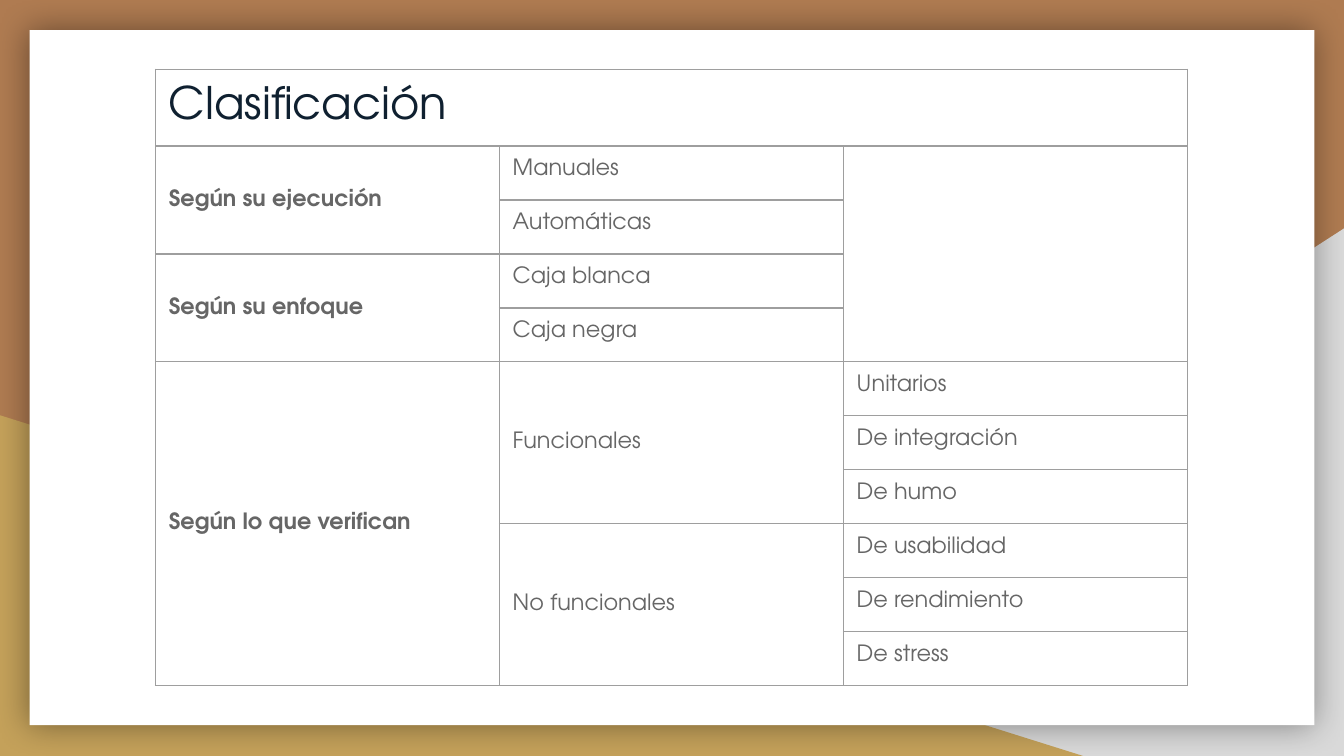
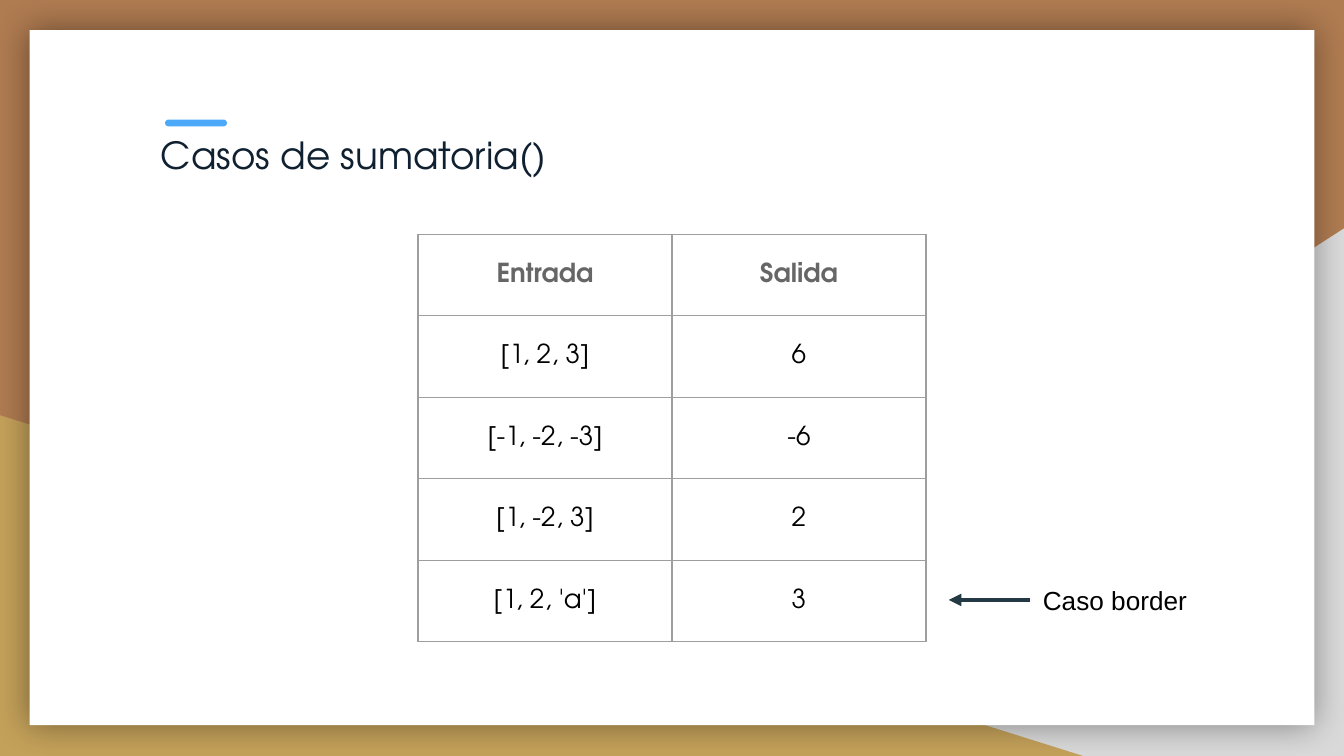
from lxml import etree
from pptx import Presentation
from pptx.dml.color import RGBColor
from pptx.enum.shapes import MSO_CONNECTOR, MSO_SHAPE
from pptx.enum.text import MSO_ANCHOR, MSO_AUTO_SIZE, PP_ALIGN
from pptx.oxml.ns import qn
from pptx.util import Cm, Pt

RECT, ROUNDED = MSO_SHAPE.RECTANGLE, MSO_SHAPE.ROUNDED_RECTANGLE
TRIANGLE = MSO_SHAPE.RIGHT_TRIANGLE
STRAIGHT = MSO_CONNECTOR.STRAIGHT
TOP, MIDDLE = MSO_ANCHOR.TOP, MSO_ANCHOR.MIDDLE
LEFT, CENTER = PP_ALIGN.LEFT, PP_ALIGN.CENTER
NO_AUTOFIT = MSO_AUTO_SIZE.NONE

TITLE_ONLY, BLANK = 5, 6
FONT, LABEL_FONT = "TeX Gyre Adventor", "Arial"
COPPER, GOLD, SILVER, WHITE = "AF7B51", "C4A15A", "D9D9D9", "FFFFFF"
NAVY, GREY, BLACK = "0F2030", "666666", "000000"
BORDER, ACCENT, ARROW = "9E9E9E", "4CA8F8", "233A44"
INSET = 0.25


def rgb(color):
    return RGBColor.from_string(color)


def sub(parent, tag, **attrs):
    """Append a child element such as a:ln to parent."""
    return etree.SubElement(parent, qn(tag), attrs)


class Deck:
    def __init__(self, width, height):
        self.prs = Presentation()
        self.prs.slide_width, self.prs.slide_height = Cm(width), Cm(height)
        self.slide = None

    def add_slide(self, layout):
        self.slide = self.prs.slides.add_slide(self.prs.slide_layouts[layout])

    def backdrop(self):
        """Put the background and the white panel on the master."""
        master = self.prs.slide_master
        fill = master.background.fill
        fill.solid()
        fill.fore_color.rgb = rgb(COPPER)

        silver = self.shape(TRIANGLE, 9.96, 4.32, 15.44, 9.97, SILVER)
        silver.element.spPr.find(qn("a:xfrm")).set("flipH", "1")
        gold = self.shape(TRIANGLE, 0, 7.85, 20.47, 6.44, GOLD)
        panel = self.shape(RECT, 0.56, 0.57, 24.28, 13.14, WHITE)
        effects = panel.element.spPr.find(qn("a:effectLst"))
        shadow = sub(effects, "a:outerShdw", blurRad=str(Pt(18)), dist="0",
                     algn="ctr", rotWithShape="0")
        sub(sub(shadow, "a:srgbClr", val=BLACK), "a:alpha", val="40000")

        tree = master.element.cSld.spTree
        for i, sp in enumerate((silver, gold, panel)):
            tree.insert(2 + i, sp.element)

    def shape(self, kind, x, y, w, h, color):
        sp = self.slide.shapes.add_shape(kind, Cm(x), Cm(y), Cm(w), Cm(h))
        sp.shadow.inherit = False
        sp.fill.solid()
        sp.fill.fore_color.rgb = rgb(color)
        sp.line.fill.background()
        return sp

    def style_text(self, tf, size, color, font=FONT, bold=False, align=LEFT):
        for p in tf.paragraphs:
            p.alignment = align
            for r in p.runs:
                f = r.font
                f.name, f.size, f.bold = font, Pt(size), bold
                f.color.rgb = rgb(color)

    def text_frame(self, sp, text):
        tf = sp.text_frame
        tf.text = text
        tf.word_wrap = True
        tf.auto_size = NO_AUTOFIT
        tf.vertical_anchor = MIDDLE
        tf.margin_left = tf.margin_right = Cm(INSET)
        tf.margin_top = tf.margin_bottom = Cm(INSET)
        return tf

    def title(self, text, x, y, w, h):
        sp = self.slide.shapes.title
        sp.left, sp.top, sp.width, sp.height = Cm(x), Cm(y), Cm(w), Cm(h)
        self.style_text(self.text_frame(sp, text), 20, NAVY)
        self.shape(ROUNDED, 3.12, 2.26, 1.17, 0.13, ACCENT).adjustments[0] = 0.5

    def label(self, text, x, y, w, h):
        sp = self.slide.shapes.add_textbox(Cm(x), Cm(y), Cm(w), Cm(h))
        self.style_text(self.text_frame(sp, text), 14, BLACK, LABEL_FONT)
        return sp

    def arrow_from(self, sp, x, y):
        """Draw an arrow from the left side of sp to a point."""
        line = self.slide.shapes.add_connector(
            STRAIGHT, sp.left, sp.top + sp.height // 2, Cm(x), Cm(y))
        line.begin_connect(sp, 1)
        line.line.color.rgb = rgb(ARROW)
        line.line.width = Pt(2.25)
        sub(line.line._get_or_add_ln(), "a:tailEnd", type="triangle")
        sub(line.element.spPr, "a:effectLst")

    def table(self, rows, x, y, col_width, heights):
        table = self.slide.shapes.add_table(
            len(rows), len(rows[0]), Cm(x), Cm(y),
            Cm(col_width * len(rows[0])), Cm(sum(heights))).table
        table.first_row = table.horz_banding = False
        for col in table.columns:
            col.width = Cm(col_width)
        for row, height, texts in zip(table.rows, heights, rows):
            row.height = Cm(height)
            for cell, text in zip(row.cells, texts):
                self.plain_cell(cell)
                if text:
                    cell.text = text
        return table

    def plain_cell(self, cell):
        """Give a cell thin borders, no fill and equal margins."""
        cell.margin_left = cell.margin_right = Cm(INSET)
        cell.margin_top = cell.margin_bottom = Cm(INSET)
        props = cell._tc.get_or_add_tcPr()
        for side in ("a:lnL", "a:lnR", "a:lnT", "a:lnB"):
            ln = sub(props, side, w=str(Pt(0.75)))
            sub(sub(ln, "a:solidFill"), "a:srgbClr", val=BORDER)
        cell.fill.background()


def classification_slide(deck):
    rows = [
        ("Clasificación", "", ""),
        ("Según su ejecución", "Manuales", ""),
        ("", "Automáticas", ""),
        ("Según su enfoque", "Caja blanca", ""),
        ("", "Caja negra", ""),
        ("Según lo que verifican", "Funcionales", "Unitarios"),
        ("", "", "De integración"),
        ("", "", "De humo"),
        ("", "No funcionales", "De usabilidad"),
        ("", "", "De rendimiento"),
        ("", "", "De stress"),
    ]
    # first cell and last cell, as (row, column)
    merges = [((0, 0), (0, 2)), ((1, 0), (2, 0)), ((3, 0), (4, 0)),
              ((5, 0), (10, 0)), ((1, 2), (4, 2)), ((5, 1), (7, 1)),
              ((8, 1), (10, 1))]
    table = deck.table(rows, 2.94, 1.31, 6.5, [1.45] + [1.02] * 10)
    for first, last in merges:
        table.cell(*first).merge(table.cell(*last))
    for i, row in enumerate(table.rows):
        for j, cell in enumerate(row.cells):
            cell.vertical_anchor = MIDDLE if cell.is_merge_origin else TOP
            if i == 0:
                deck.style_text(cell.text_frame, 24, NAVY)
            else:
                deck.style_text(cell.text_frame, 12, GREY, bold=j == 0)


def cases_slide(deck):
    deck.title("Casos de sumatoria()", 2.79, 2.59, 8.53, 0.66)
    rows = [
        ("Entrada", "Salida"),
        ("[1, 2, 3]", "6"),
        ("[-1, -2, -3]", "-6"),
        ("[1, -2, 3]", "2"),
        ("[1, 2, 'a']", "3"),
    ]
    table = deck.table(rows, 7.9, 4.43, 4.8, [1.54] * len(rows))
    for i, row in enumerate(table.rows):
        for cell in row.cells:
            cell.vertical_anchor = MIDDLE
            deck.style_text(cell.text_frame, 14, BLACK if i else GREY,
                            bold=i == 0, align=CENTER)
    label = deck.label("Caso border", 19.46, 10.86, 3.68, 0.96)
    deck.arrow_from(label, 17.93, 11.34)


def main():
    deck = Deck(25.4, 14.29)
    deck.add_slide(BLANK)
    deck.backdrop()
    classification_slide(deck)
    deck.add_slide(TITLE_ONLY)
    cases_slide(deck)
    deck.prs.save("out.pptx")


if __name__ == "__main__":
    main()
